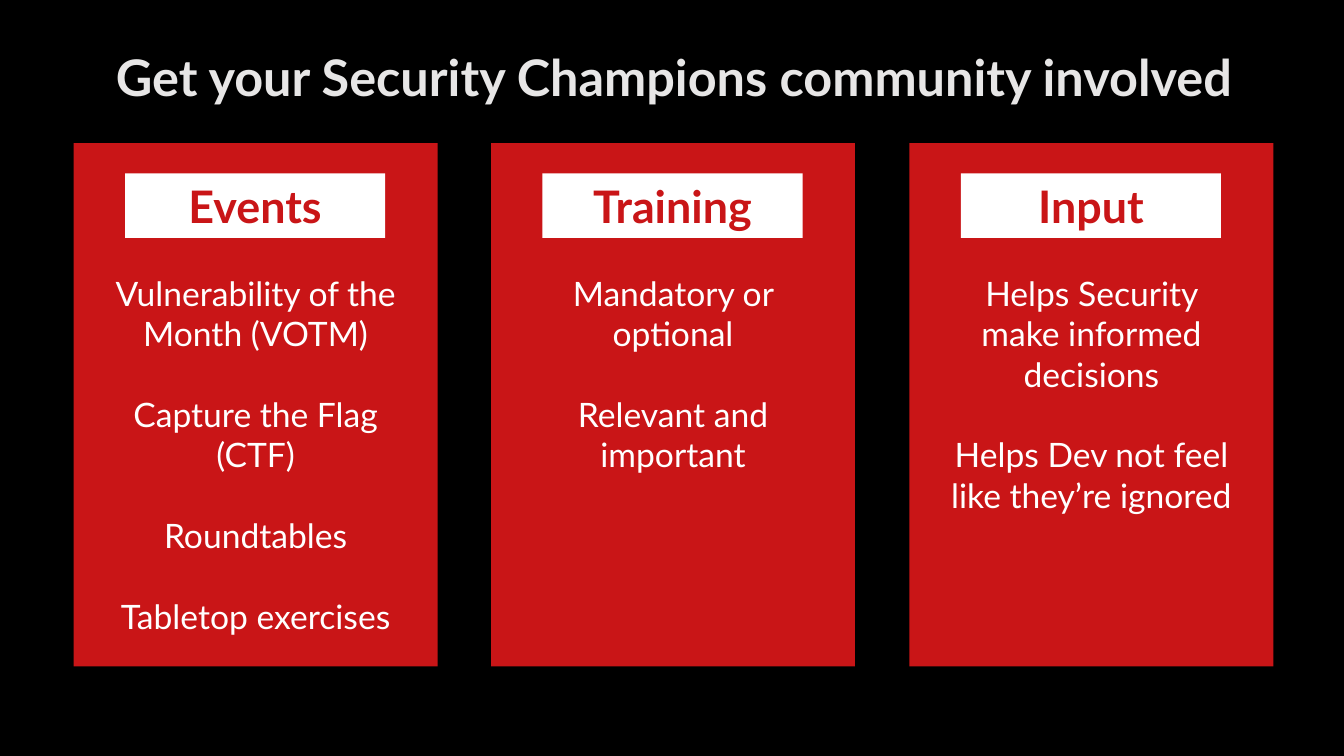
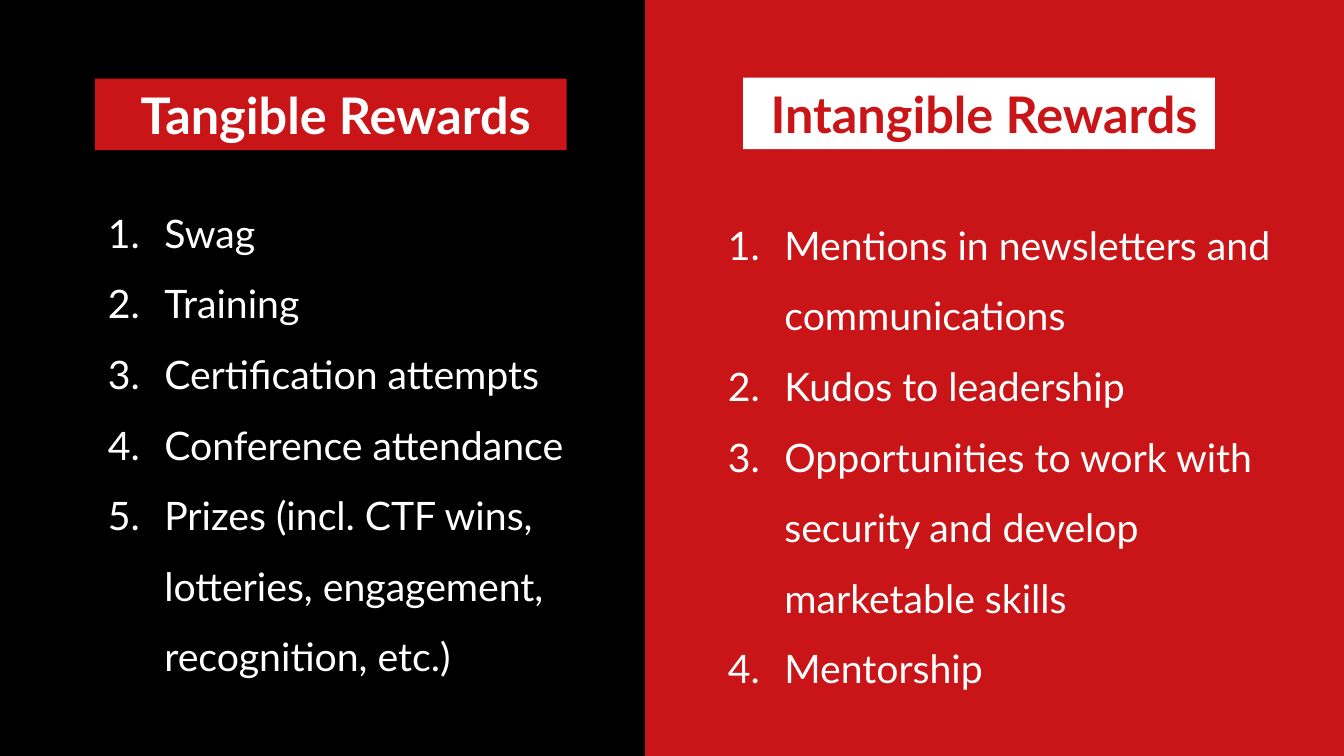
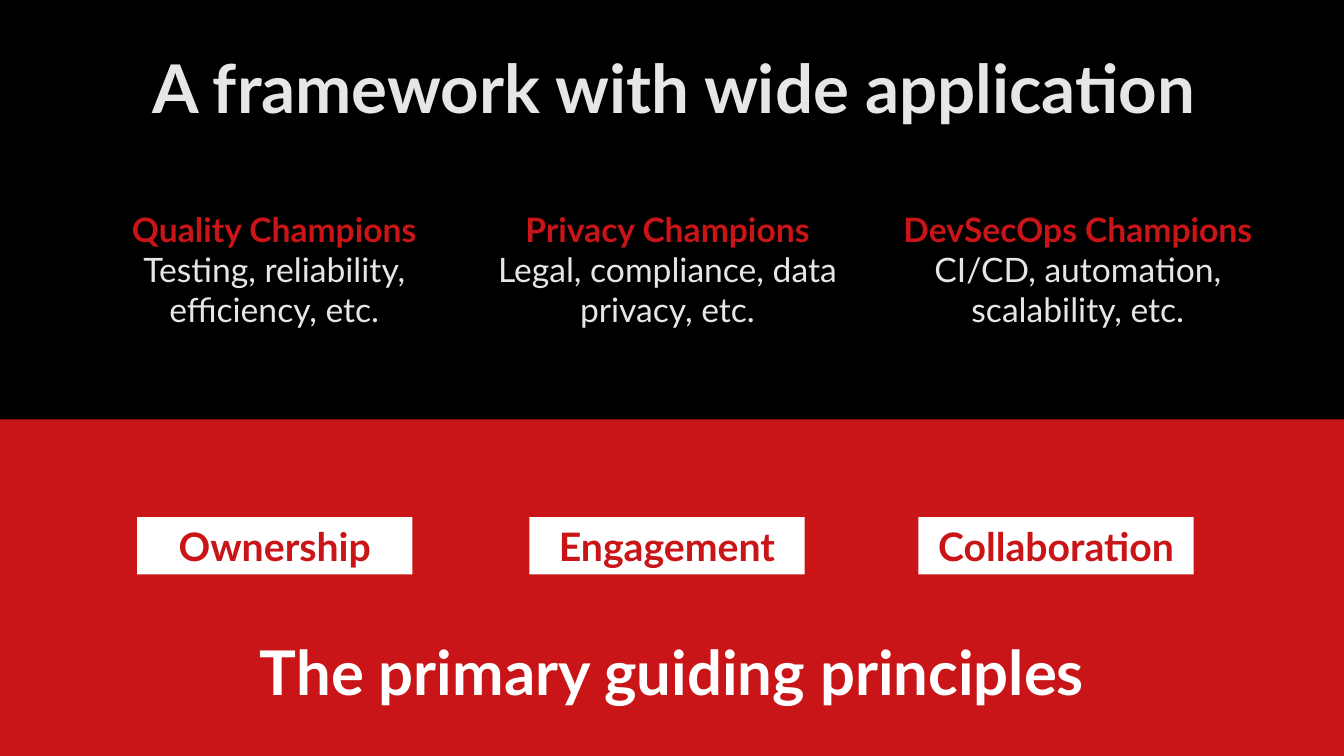
from dataclasses import dataclass
from typing import NamedTuple

import lxml.etree
import pptx
import pptx.dml.color
import pptx.enum.shapes
import pptx.enum.text
import pptx.oxml.ns
import pptx.presentation
import pptx.shapes.autoshape
import pptx.slide
import pptx.util

SCALE = 9144
TITLE_ONLY = 5
COMPARISON = 3 + 1
ALIGN = pptx.enum.text.PP_ALIGN


class Box(NamedTuple):
    left: int
    top: int
    width: int
    height: int


@dataclass(frozen=True)
class Face:
    size: int
    color: str
    bold: bool = False


@dataclass(frozen=True)
class Theme:
    font: str = "Lato"
    black: str = "000000"
    red: str = "C91517"
    white: str = "FFFFFF"
    pale: str = "E7E6E6"
    small: int = 24
    list: int = 28
    label: int = 32
    head: int = 36
    close: int = 44
    large: int = 48


THEME = Theme()


class Line(NamedTuple):
    text: str
    face: Face


class Card(NamedTuple):
    label: str
    points: list[str]


class Reward(NamedTuple):
    head: str
    head_box: Box
    fill: str
    color: str
    points: list[str]
    list_box: Box


class Topic(NamedTuple):
    name: str
    detail: str
    left: int


class Label(NamedTuple):
    text: str
    left: int


CARDS = [
    Card("Events", ["Vulnerability of the Month (VOTM)", "Capture the Flag (CTF)",
                    "Roundtables", "Tabletop exercises"]),
    Card("Training", ["Mandatory or optional", "Relevant and important"]),
    Card("Input", ["Helps Security make informed decisions",
                   "Helps Dev not feel like they’re ignored"]),
]

REWARDS = [
    Reward("Tangible Rewards", Box(94, 78, 468, 71), THEME.red, THEME.white,
           ["Swag", "Training", "Certification attempts", "Conference attendance",
            "Prizes (incl. CTF wins, lotteries, engagement, recognition, etc.)"],
           Box(97, 179, 476, 497)),
    Reward("Intangible Rewards", Box(737, 77, 468, 71), THEME.white, THEME.red,
           ["Mentions in newsletters and communications", "Kudos to leadership",
            "Opportunities to work with security and develop marketable skills",
            "Mentorship"],
           Box(712, 191, 605, 497)),
]

TOPICS = [
    Topic("Quality Champions", "Testing, reliability, efficiency, etc.", 77),
    Topic("Privacy Champions", "Legal, compliance, data privacy, etc.", 467),
    Topic("DevSecOps Champions", "CI/CD, automation, scalability, etc.", 874),
]

LABELS = [Label("Ownership", 136), Label("Engagement", 525), Label("Collaboration", 911)]


def px(count: int) -> pptx.util.Emu:
    return pptx.util.Emu(count * SCALE)


def tint(color: str) -> pptx.dml.color.RGBColor:
    return pptx.dml.color.RGBColor.from_string(color)


def place(shape: pptx.shapes.autoshape.Shape, box: Box) -> None:
    shape.left, shape.top, shape.width, shape.height = map(px, box)


def paint(shape: pptx.shapes.autoshape.Shape, color: str) -> None:
    shape.fill.solid()
    shape.fill.fore_color.rgb = tint(color)


def number(para, indent: int) -> None:
    props = para._p.get_or_add_pPr()
    props.set("marL", str(px(indent)))
    props.set("indent", str(px(-indent)))
    mark = lxml.etree.SubElement(props, pptx.oxml.ns.qn("a:buAutoNum"))
    mark.set("type", "arabicPeriod")


def write(shape: pptx.shapes.autoshape.Shape, lines: list[Line],
          align: ALIGN = ALIGN.CENTER, after: float = 0,
          pitch: float = 1.0, indent: int = 0) -> None:
    frame = shape.text_frame
    frame.word_wrap = True
    frame.auto_size = pptx.enum.text.MSO_AUTO_SIZE.NONE
    frame.vertical_anchor = pptx.enum.text.MSO_ANCHOR.TOP
    for place_no, line in enumerate(lines):
        para = frame.add_paragraph() if place_no else frame.paragraphs[0]
        para.text = line.text
        para.alignment = align
        para.line_spacing = pitch
        para.space_before = pptx.util.Pt(0)
        para.space_after = pptx.util.Pt(after)
        if indent:
            number(para, indent)
        font = para.font
        font.name = THEME.font
        font.size = pptx.util.Pt(line.face.size)
        font.bold = line.face.bold
        font.color.rgb = tint(line.face.color)


def add_rect(slide: pptx.slide.Slide, box: Box, color: str) -> pptx.shapes.autoshape.Shape:
    rect = slide.shapes.add_shape(pptx.enum.shapes.MSO_SHAPE.RECTANGLE, *map(px, box))
    rect.shadow.inherit = False
    rect.line.fill.background()
    paint(rect, color)
    return rect


def add_label(slide: pptx.slide.Slide, box: Box, text: str, size: int) -> None:
    write(add_rect(slide, box, THEME.white), [Line(text, Face(size, THEME.red, True))])


def add_text(slide: pptx.slide.Slide, box: Box, lines: list[Line], after: float = 0) -> None:
    write(slide.shapes.add_textbox(*map(px, box)), lines, after=after)


def add_title(slide: pptx.slide.Slide, text: str, size: int, height: int) -> None:
    title = slide.shapes.title
    place(title, Box(73, 41, 1191, height))
    write(title, [Line(text, Face(size, THEME.pale, True))])


def add_slide(deck: pptx.presentation.Presentation, layout: int) -> pptx.slide.Slide:
    return deck.slides.add_slide(deck.slide_layouts[layout])


def draw_cards(deck: pptx.presentation.Presentation) -> None:
    slide = add_slide(deck, TITLE_ONLY)
    add_title(slide, "Get your Security Champions community involved", THEME.head, 71)
    first, last, width = 73, 902, 361
    label_width, text_width = 258, 299
    face = Face(THEME.small, THEME.white)
    for column, card in enumerate(CARDS):
        left = first + (last - first) * column // (len(CARDS) - 1)
        add_rect(slide, Box(left, 142, width, 519), THEME.red)
        add_label(slide, Box(left + (width - label_width) // 2, 172, label_width, 64),
                  card.label, THEME.label)
        add_text(slide, Box(left + (width - text_width) // 2, 266, text_width, 374),
                 [Line(point, face) for point in card.points], after=28.8)


def draw_rewards(deck: pptx.presentation.Presentation) -> None:
    slide = add_slide(deck, COMPARISON)
    title, *bodies = slide.placeholders
    panel = add_rect(slide, Box(640, 0, 693, 750), THEME.red)
    title.element.addprevious(panel.element)
    title.element.getparent().remove(title.element)
    face = Face(THEME.list, THEME.white)
    for reward, head, body in zip(REWARDS, bodies[::2], bodies[1::2]):
        place(head, reward.head_box)
        paint(head, reward.fill)
        write(head, [Line(reward.head, Face(THEME.head, reward.color, True))])
        head.text_frame.margin_left = px(20)
        place(body, reward.list_box)
        write(body, [Line(point, face) for point in reward.points],
              align=ALIGN.LEFT, pitch=1.5, indent=56)


def draw_frame(deck: pptx.presentation.Presentation) -> None:
    slide = add_slide(deck, TITLE_ONLY)
    add_title(slide, "A framework with wide application", THEME.large, 91)
    name_face = Face(THEME.small, THEME.red, True)
    detail_face = Face(THEME.small, THEME.pale)
    for topic in TOPICS:
        add_text(slide, Box(topic.left, 202, 390, 131),
                 [Line(topic.name, name_face), Line(topic.detail, detail_face)])
    add_rect(slide, Box(0, 416, 1333, 334), THEME.red)
    add_text(slide, Box(155, 624, 1024, 84),
             [Line("The primary guiding principles", Face(THEME.close, THEME.white, True))])
    for label in LABELS:
        add_label(slide, Box(label.left, 513, 273, 57), label.text, THEME.list)


def main() -> None:
    deck = pptx.Presentation()
    deck.slide_width, deck.slide_height = px(1333), px(750)
    back = deck.slide_master.background.fill
    back.solid()
    back.fore_color.rgb = tint(THEME.black)
    draw_cards(deck)
    draw_rewards(deck)
    draw_frame(deck)
    deck.save("out.pptx")


if __name__ == "__main__":
    main()
